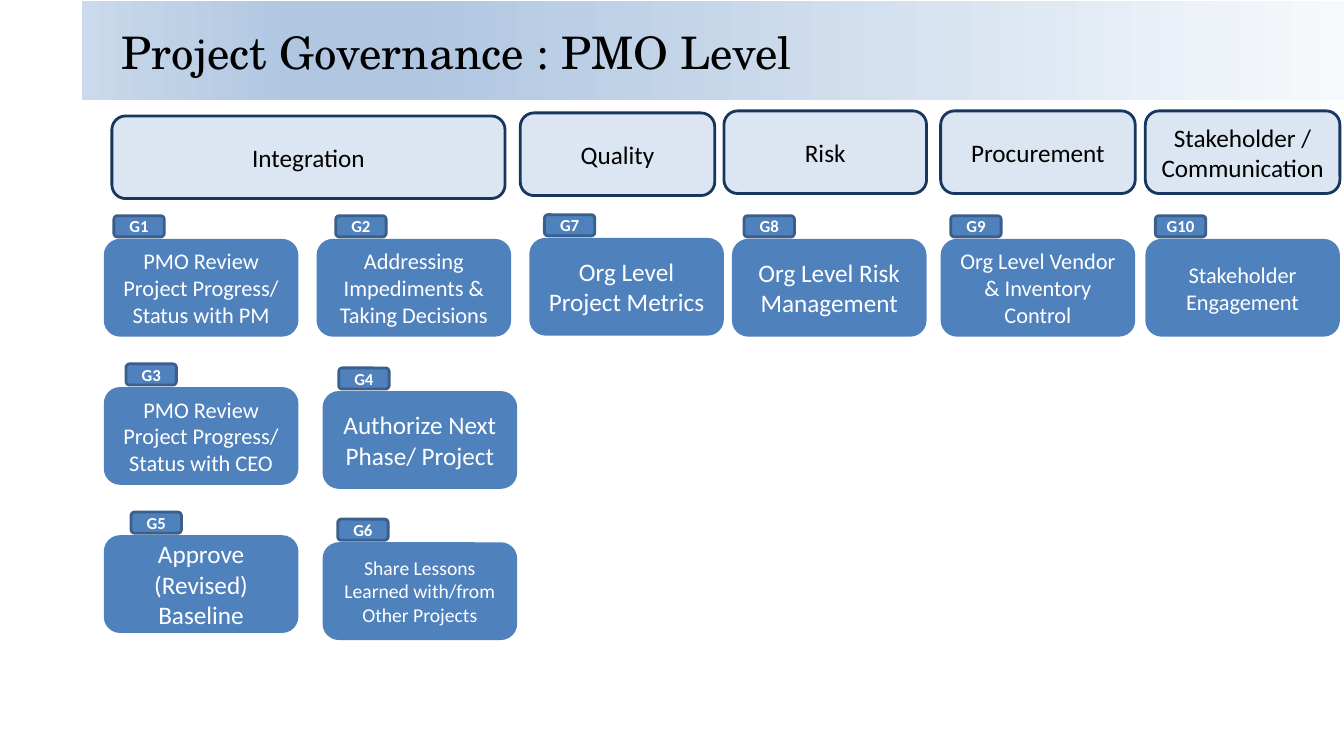
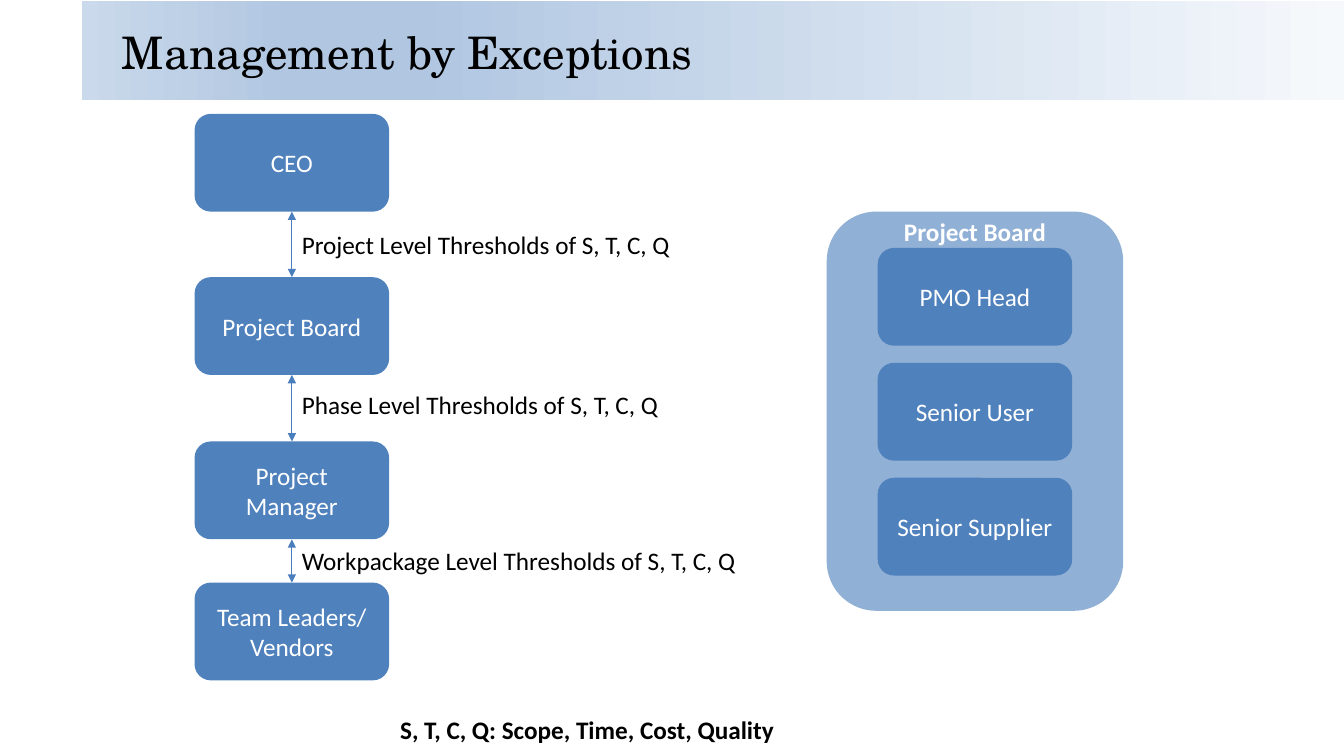
from dataclasses import dataclass

from lxml import etree
from pptx import Presentation
from pptx.dml.color import RGBColor
from pptx.enum.shapes import MSO_CONNECTOR, MSO_SHAPE
from pptx.enum.text import MSO_ANCHOR, MSO_AUTO_SIZE, PP_ALIGN
from pptx.oxml.ns import qn
from pptx.util import Inches, Pt

RECT, ROUNDED = MSO_SHAPE.RECTANGLE, MSO_SHAPE.ROUNDED_RECTANGLE
STRAIGHT = MSO_CONNECTOR.STRAIGHT
LEFT, CENTER = PP_ALIGN.LEFT, PP_ALIGN.CENTER
MIDDLE = MSO_ANCHOR.MIDDLE
GROW = MSO_AUTO_SIZE.SHAPE_TO_FIT_TEXT
TOP_SIDE, BOTTOM_SIDE = 0, 2


@dataclass(frozen=True)
class Theme:
    title_font: str = "TeX Gyre Schola"
    body_font: str = "Calibri"
    ink: str = "000000"
    paper: str = "FFFFFF"
    tile: str = "4F81BD"
    heading: str = "DCE6F2"
    heading_edge: str = "17375E"
    badge_edge: str = "3A5F8C"
    arrow: str = "4B7EBC"
    band: tuple = ((0, "F6F9FC"), (74, "B0C6E1"), (83, "B0C6E1"), (100, "CAD9EB"))
    title_size: int = 32
    body_size: int = 18
    badge_size: int = 12
    edge: float = 2
    arrow_width: float = 0.75


THEME = Theme()
SLIDE_W, SLIDE_H = 13.33, 7.5
BAND = (0.81, 0.01, 12.53, 0.98)
TITLE = (1.11, 0.06, 11.78, 0.91)
TILE_W, TILE_H = 1.93, 0.97
BADGE_W, BADGE_H, BADGE_RISE = 0.5, 0.21, 0.23

# Governance areas: heading, left, top, width
HEADING_H = 0.82
AREAS = [
    ("Integration", 1.11, 1.15, 3.9),
    ("Quality", 5.16, 1.12, 1.93),
    ("Risk", 7.18, 1.1, 2.01),
    ("Procurement", 9.33, 1.1, 1.93),
    ("Stakeholder / Communication", 11.36, 1.1, 1.93),
]
COLUMNS = [1.03, 3.14, 5.25, 7.26, 9.33, 11.36]
FIRST_ROW, ROW_PITCH = 2.37, 1.47
# Activities: text, size, column, row, shift from the grid, badge indent
ACTIVITIES = [
    ("PMO Review Project Progress/ Status with PM", 16, 0, 0, (0, 0), 0.1),
    ("Addressing Impediments & Taking Decisions", 16, 1, 0, (0, 0), 0.19),
    ("PMO Review Project Progress/ Status with CEO", 16, 0, 1, (0, 0), 0.22),
    ("Authorize Next Phase/ Project", 18, 1, 1, (0.06, 0.04), 0.16),
    ("Approve (Revised) Baseline", 18, 0, 2, (0, 0), 0.27),
    ("Share Lessons Learned with/from Other Projects", 14, 1, 2, (0.06, 0.07), 0.15),
    ("Org Level Project Metrics", 18, 2, 0, (0, -0.01), 0.15),
    ("Org Level Risk Management", 18, 3, 0, (0, 0), 0.12),
    ("Org Level Vendor & Inventory Control", 16, 4, 0, (0, 0), 0.1),
    ("Stakeholder Engagement", 16, 5, 0, (0, 0), 0.1),
]

CHAIN_LEFT = 1.93
CHAIN = [("CEO", 1.13), ("Project Board", 2.75),
         ("Project Manager", 4.38), ("Team Leaders/ Vendors", 5.78)]
# Thresholds between the levels of the chain: text, top, width
THRESHOLDS = [
    ("Project Level Thresholds of S, T, C, Q", 2.23, 3.89),
    ("Phase Level Thresholds of S, T, C, Q", 3.81, 3.78),
    ("Workpackage Level Thresholds of S, T, C, Q", 5.36, 4.55),
]
BOARD = (8.2, 2.1, 2.94, 3.96)
BOARD_TITLE = "Project Board"
BOARD_ALPHA = 62
MEMBERS = ["PMO Head", "Senior User", "Senior Supplier"]
MEMBER_TOP, MEMBER_PITCH = 2.46, 1.14
LEGEND = "S, T, C, Q: Scope, Time, Cost, Quality"
LEGEND_BOX = (3.87, 7.04, 6.41, 0.4)
LABEL_H = 0.4


def rgb(value):
    return RGBColor.from_string(value)


def inches(box):
    return [Inches(value) for value in box]


def write(frame, text, size=THEME.body_size, color=THEME.ink, bold=False,
          font=THEME.body_font, align=LEFT, wrap=True):
    frame.word_wrap = wrap
    paragraph = frame.paragraphs[0]
    paragraph.alignment = align
    run = paragraph.add_run()
    run.text = text
    run.font.name, run.font.size, run.font.bold = font, Pt(size), bold
    run.font.color.rgb = rgb(color)


def add_block(slide, box, fill=THEME.tile, edge=None, text=None,
              color=THEME.paper, **text_format):
    """Add a rounded block, with centred text if any is given."""
    block = slide.shapes.add_shape(ROUNDED, *inches(box))
    block.shadow.inherit = False
    block.fill.solid()
    block.fill.fore_color.rgb = rgb(fill)
    if edge:
        block.line.color.rgb = rgb(edge)
        block.line.width = Pt(THEME.edge)
    else:
        block.line.fill.background()
    if text:
        block.text_frame.vertical_anchor = MIDDLE
        write(block.text_frame, text, color=color, align=CENTER, **text_format)
    return block


def add_tile(slide, text, left, top, size=THEME.body_size):
    return add_block(slide, (left, top, TILE_W, TILE_H), text=text, size=size)


def add_label(slide, text, box, **text_format):
    label = slide.shapes.add_textbox(*inches(box))
    write(label.text_frame, text, **text_format)
    label.text_frame.auto_size = GROW


def add_double_arrow(slide, upper, lower):
    arrow = slide.shapes.add_connector(STRAIGHT, 0, 0, 0, 0)
    arrow.begin_connect(upper, BOTTOM_SIDE)
    arrow.end_connect(lower, TOP_SIDE)
    arrow.line.color.rgb = rgb(THEME.arrow)
    arrow.line.width = Pt(THEME.arrow_width)
    outline = arrow.line._get_or_add_ln()
    for end in ("a:headEnd", "a:tailEnd"):
        etree.SubElement(outline, qn(end), type="triangle")
    etree.SubElement(arrow._element.spPr, qn("a:effectLst"))


def add_titled_slide(deck, layout, title):
    slide = deck.slides.add_slide(layout)
    frame = slide.shapes.title.text_frame
    frame.vertical_anchor = MIDDLE
    write(frame, title, size=THEME.title_size, font=THEME.title_font)
    return slide


def move_band_to_layout(slide, layout):
    """Draw the gradient band and put it behind everything on the layout."""
    band = slide.shapes.add_shape(RECT, *inches(BAND))
    band.shadow.inherit = False
    band.line.fill.background()
    band.fill.gradient()
    band.fill.gradient_angle = 180
    stops = band._element.spPr.find(".//" + qn("a:gsLst"))
    for stop in list(stops):
        stops.remove(stop)
    for position, color in THEME.band:
        stop = etree.SubElement(stops, qn("a:gs"), pos=str(position * 1000))
        etree.SubElement(stop, qn("a:srgbClr"), val=color)
    layout.shapes._spTree.insert(2, band._element)


def fill_governance(slide):
    for text, left, top, width in AREAS:
        add_block(slide, (left, top, width, HEADING_H), fill=THEME.heading,
                  edge=THEME.heading_edge, text=text, color=THEME.ink)
    for number, activity in enumerate(ACTIVITIES, 1):
        text, size, column, row, (shift_x, shift_y), indent = activity
        left = COLUMNS[column] + shift_x
        top = FIRST_ROW + row * ROW_PITCH + shift_y
        add_tile(slide, text, left, top, size)
        add_block(slide, (left + indent, top - BADGE_RISE, BADGE_W, BADGE_H),
                  edge=THEME.badge_edge, text=f"G{number}",
                  size=THEME.badge_size, bold=True)


def fill_exceptions(slide):
    board = add_block(slide, BOARD)
    tint = board._element.spPr.find(".//" + qn("a:srgbClr"))
    etree.SubElement(tint, qn("a:alpha"), val=str(BOARD_ALPHA * 1000))
    board_left, board_top, board_width, _ = BOARD
    add_label(slide, BOARD_TITLE, (board_left, board_top, board_width, LABEL_H),
              color=THEME.paper, bold=True, align=CENTER)
    member_left = board_left + (board_width - TILE_W) / 2
    for row, member in enumerate(MEMBERS):
        add_tile(slide, member, member_left, MEMBER_TOP + row * MEMBER_PITCH)

    levels = [add_tile(slide, text, CHAIN_LEFT, top) for text, top in CHAIN]
    for upper, lower in zip(levels, levels[1:]):
        add_double_arrow(slide, upper, lower)
    for text, top, width in THRESHOLDS:
        add_label(slide, text, (CHAIN_LEFT + TILE_W / 2, top, width, LABEL_H),
                  wrap=False)
    add_label(slide, LEGEND, LEGEND_BOX, bold=True)


def main():
    deck = Presentation()
    deck.slide_width, deck.slide_height = Inches(SLIDE_W), Inches(SLIDE_H)
    layout = deck.slide_layouts.get_by_name("Title Only")
    heading = layout.placeholders[0]
    heading.left, heading.top, heading.width, heading.height = inches(TITLE)

    governance = add_titled_slide(deck, layout, "Project Governance : PMO Level")
    move_band_to_layout(governance, layout)
    fill_governance(governance)
    fill_exceptions(add_titled_slide(deck, layout, "Management by Exceptions"))
    deck.save("out.pptx")


if __name__ == "__main__":
    main()
